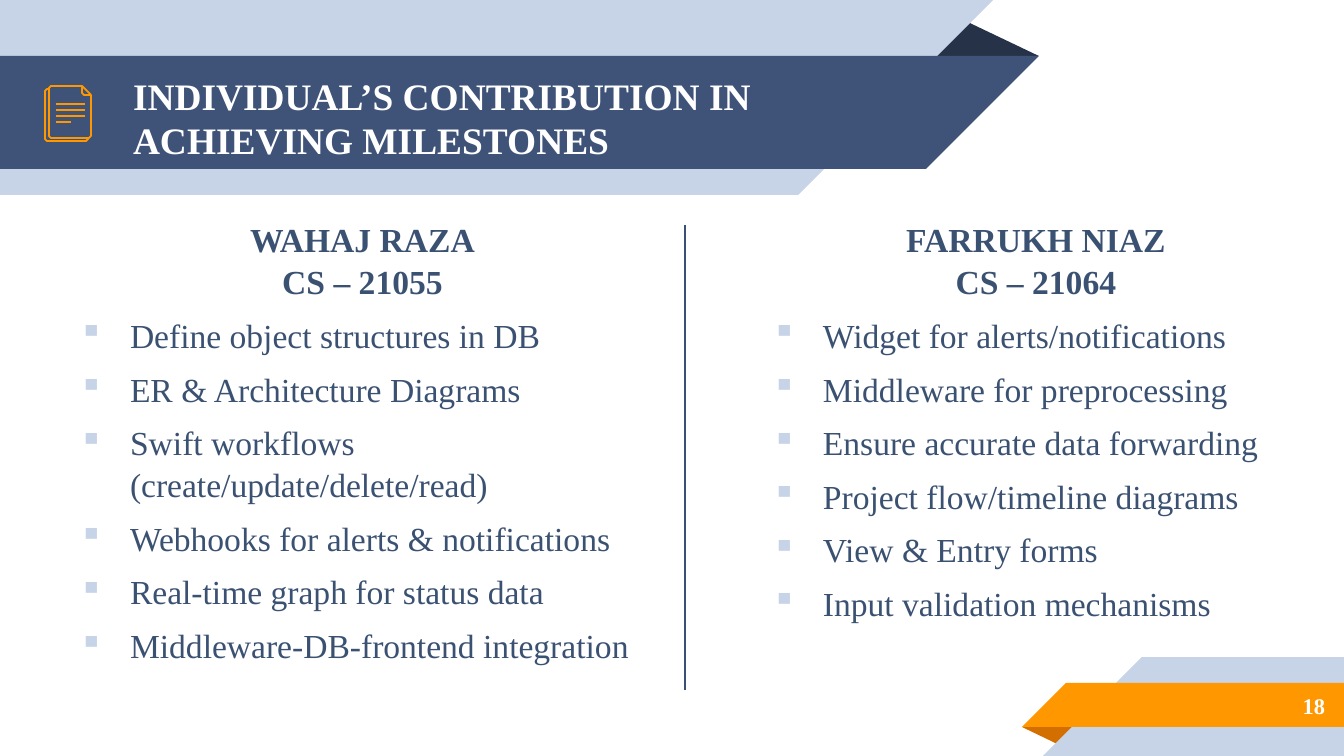
from lxml import etree
from pptx import Presentation
from pptx.dml.color import RGBColor
from pptx.enum.shapes import MSO_CONNECTOR, MSO_SHAPE
from pptx.enum.text import MSO_ANCHOR, PP_ALIGN
from pptx.oxml.ns import qn
from pptx.util import Pt

PX = 914400 / 134.4
FONT = "Times New Roman"
NAVY, PALE, ORANGE, INK, WHITE = "3F5378", "C7D3E6", "FF9800", "3A5172", "FFFFFF"
RECTANGLE = MSO_SHAPE.RECTANGLE
RIGHT_TRIANGLE = MSO_SHAPE.RIGHT_TRIANGLE
TRIANGLE = MSO_SHAPE.ISOSCELES_TRIANGLE
STRAIGHT = MSO_CONNECTOR.STRAIGHT
TOP, MIDDLE = MSO_ANCHOR.TOP, MSO_ANCHOR.MIDDLE
LEFT, CENTER, RIGHT = PP_ALIGN.LEFT, PP_ALIGN.CENTER, PP_ALIGN.RIGHT


def px(value):
    return round(value * PX)


def color(value):
    return RGBColor.from_string(value)


def add_filled(slide, kind, box, fill, rotation=0):
    shape = slide.shapes.add_shape(kind, *map(px, box))
    shape.shadow.inherit = False
    shape.fill.solid()
    shape.fill.fore_color.rgb = color(fill)
    shape.line.fill.background()
    shape.rotation = rotation
    return shape


def add_fold(slide, box, fill, rotation=0):
    fold = add_filled(slide, TRIANGLE, box, fill, rotation)
    fold.adjustments[0] = 0.32


def add_left_ribbon(slide, top, width, height, fill):
    add_filled(slide, RECTANGLE, (0, top, width, height), fill)
    add_filled(slide, RIGHT_TRIANGLE, (width, top, height, height), fill, 90)


def add_right_ribbon(slide, left, top, width, height, fill):
    add_filled(slide, RECTANGLE, (left, top, width, height), fill)
    add_filled(slide, RIGHT_TRIANGLE, (left - height, top, height, height), fill, 270)


def add_line(slide, start, end, stroke, width):
    line = slide.shapes.add_connector(STRAIGHT, *map(px, start + end))
    line.line.color.rgb = color(stroke)
    line.line.width = Pt(width)
    etree.SubElement(line._element.spPr, qn("a:effectLst"))


def add_outline(slide, left, top, points, closed=False):
    points = [(left + x, top + y) for x, y in points]
    builder = slide.shapes.build_freeform(*points[0], scale=PX)
    builder.add_line_segments(points[1:], close=closed)
    outline = builder.convert_to_shape()
    outline.shadow.inherit = False
    outline.fill.background()
    outline.line.color.rgb = color(ORANGE)
    outline.line.width = Pt(0.96)


def add_text_box(slide, box, lines, size, ink, bold=True, anchor=TOP, alignment=LEFT):
    frame = slide.shapes.add_textbox(*map(px, box)).text_frame
    frame.word_wrap = True
    frame.vertical_anchor = anchor
    frame.margin_left = frame.margin_right = px(13)
    frame.margin_top = frame.margin_bottom = px(13)
    frame.text = "\n".join(lines)
    for paragraph in frame.paragraphs:
        paragraph.alignment = alignment
        for run in paragraph.runs:
            run.font.name = FONT
            run.font.size = Pt(size)
            run.font.bold = bold
            run.font.color.rgb = color(ink)
    return frame


def add_bullet(paragraph):
    properties = paragraph._p.get_or_add_pPr()
    properties.set("marL", str(px(51)))
    properties.set("indent", str(-px(51)))
    bullet_color = etree.SubElement(properties, qn("a:buClr"))
    etree.SubElement(bullet_color, qn("a:srgbClr"), val=PALE)
    etree.SubElement(properties, qn("a:buChar"), char="▪")


def add_contributions(slide, box, heading, tasks):
    frame = add_text_box(slide, box, heading + tasks, 18, INK)
    for index, paragraph in enumerate(frame.paragraphs):
        paragraph.line_spacing = 1.05
        if index < len(heading):
            paragraph.alignment = CENTER
            continue
        paragraph.space_before = Pt(6)
        add_bullet(paragraph)
        for run in paragraph.runs:
            run.font.bold = False


def add_document_icon(slide, left, top):
    back_page = [(43, 52), (43, 53), (41, 55), (2, 55), (0, 53), (0, 5), (2, 3), (4, 3)]
    front_page = [(46, 9), (46, 50), (44, 52), (6, 52), (4, 50), (4, 2), (6, 0), (37, 0)]
    corner = [(37, 0), (46, 9), (39, 9), (37, 7)]
    add_outline(slide, left, top, back_page)
    add_outline(slide, left, top, front_page)
    add_outline(slide, left, top, corner, closed=True)
    for row, length in enumerate((29, 29, 29, 15)):
        y = top + 18 + 6 * row
        add_line(slide, (left + 11, y), (left + 11 + length, y), ORANGE, 0.96)


def add_header(slide, title):
    add_fold(slide, (925, 19, 114, 37), "263248")
    add_left_ribbon(slide, 0, 798, 195, PALE)
    add_left_ribbon(slide, 56, 926, 113, NAVY)
    add_text_box(slide, (120, 61, 773, 113), [title], 20, WHITE, anchor=MIDDLE)
    add_document_icon(slide, 45, 86)


def add_footer(slide, number):
    add_fold(slide, (1022, 727, 58, 19), "D26F00", 180)
    add_right_ribbon(slide, 1142, 657, 202, 99, PALE)
    add_right_ribbon(slide, 1066, 683, 278, 44, ORANGE)
    add_text_box(slide, (1119, 682, 219, 47), [number], 12, WHITE,
                 anchor=MIDDLE, alignment=RIGHT)


def main():
    presentation = Presentation()
    presentation.slide_width = px(1344)
    presentation.slide_height = px(756)
    slide = presentation.slides.add_slide(presentation.slide_layouts[6])
    add_header(slide, "INDIVIDUAL’S CONTRIBUTION IN ACHIEVING MILESTONES")
    add_footer(slide, "18")
    add_contributions(slide, (66, 204, 593, 508), ["WAHAJ RAZA", "CS – 21055"], [
        "Define object structures in DB",
        "ER & Architecture Diagrams",
        "Swift workflows (create/update/delete/read)",
        "Webhooks for alerts & notifications",
        "Real-time graph for status data",
        "Middleware-DB-frontend integration",
    ])
    add_line(slide, (685, 225), (685, 690), "3B5076", 0.75)
    add_contributions(slide, (759, 204, 554, 508), ["FARRUKH NIAZ", "CS – 21064"], [
        "Widget for alerts/notifications",
        "Middleware for preprocessing",
        "Ensure accurate data forwarding",
        "Project flow/timeline diagrams",
        "View & Entry forms",
        "Input validation mechanisms",
    ])
    presentation.save("out.pptx")


if __name__ == "__main__":
    main()
